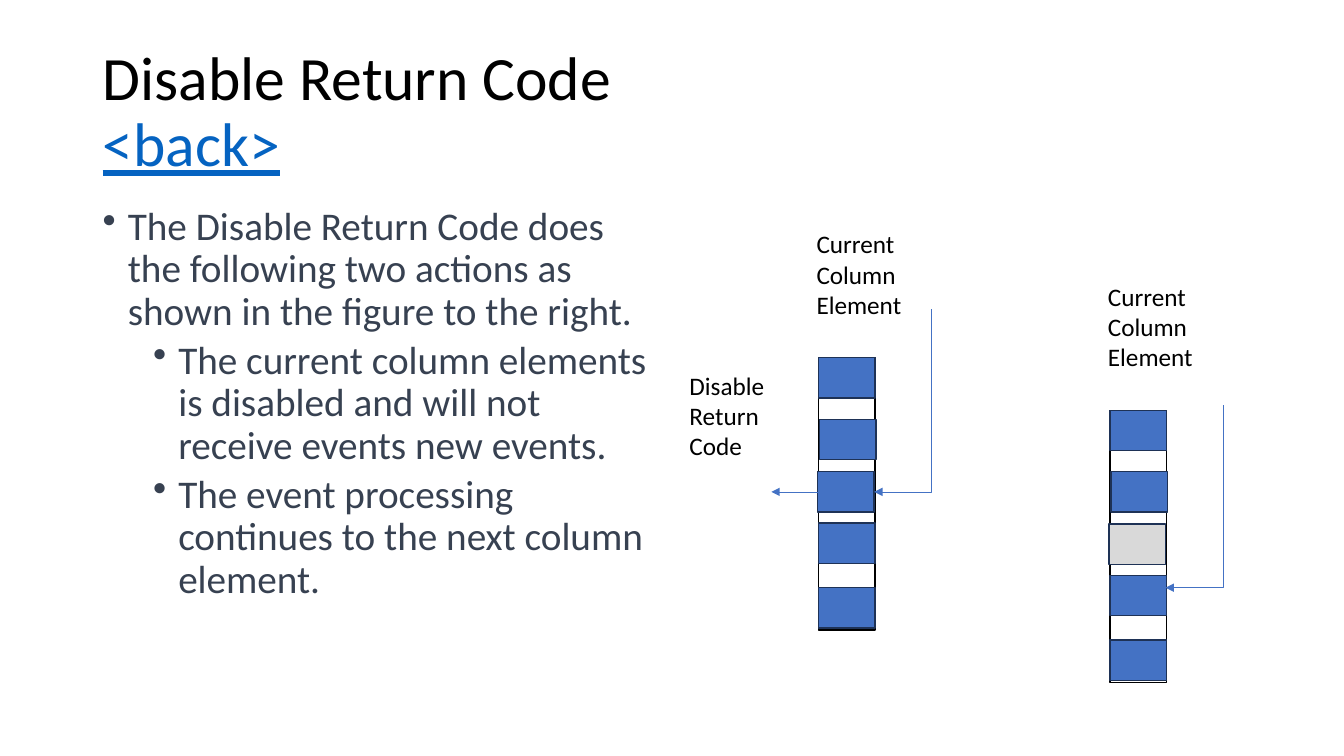
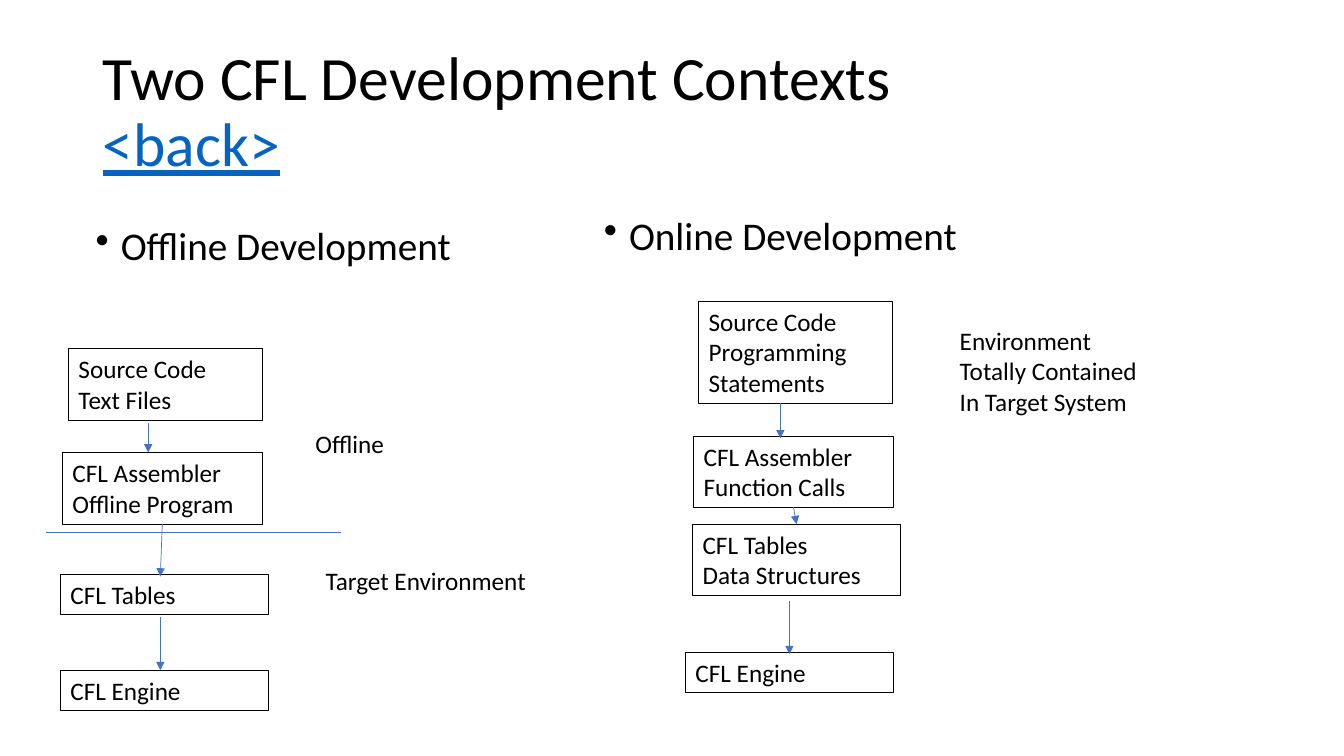
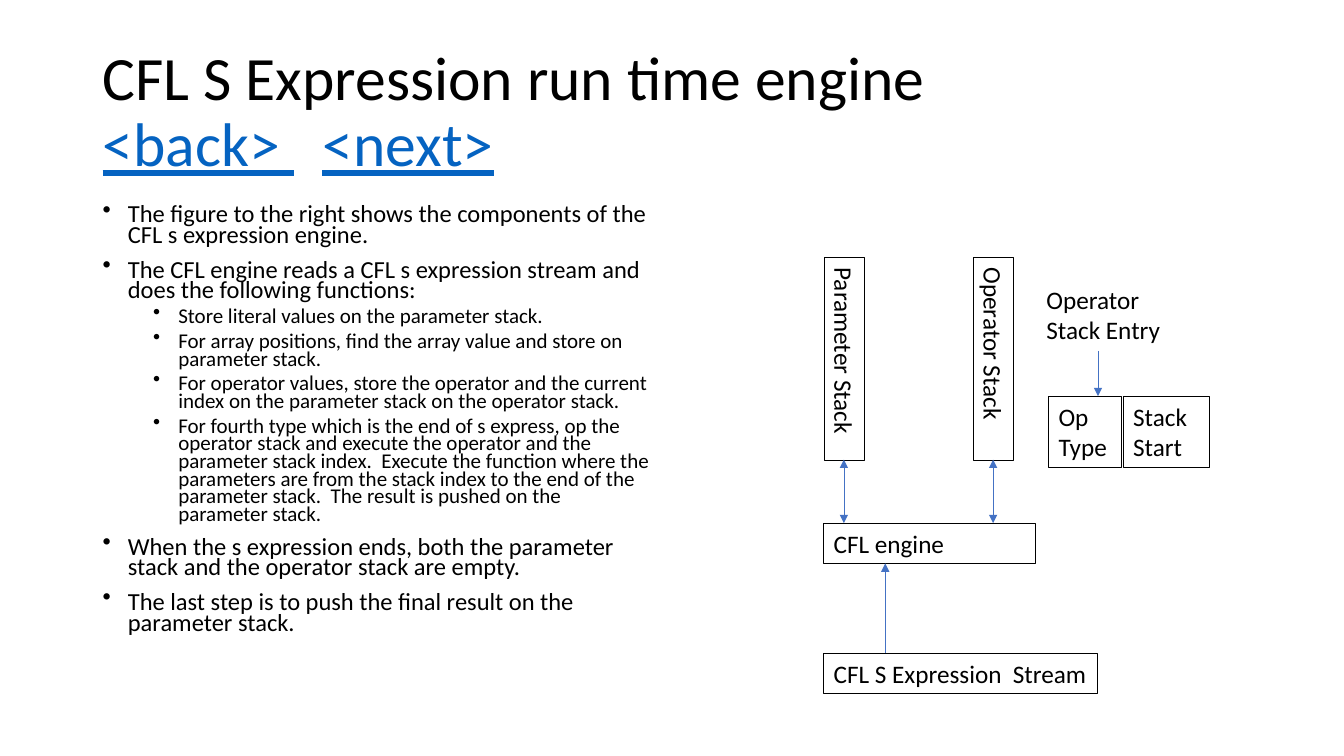
from lxml import etree
from pptx import Presentation
from pptx.dml.color import RGBColor
from pptx.enum.shapes import MSO_CONNECTOR, MSO_SHAPE
from pptx.enum.text import MSO_ANCHOR, PP_ALIGN
from pptx.oxml.ns import qn
from pptx.util import Inches, Pt

RECT = MSO_SHAPE.RECTANGLE
LINE = MSO_CONNECTOR.STRAIGHT
BENT = MSO_CONNECTOR.ELBOW
TOP, MID = MSO_ANCHOR.TOP, MSO_ANCHOR.MIDDLE
LEFT = PP_ALIGN.LEFT

FONT = "Calibri"
BLACK, WHITE, SLATE = "000000", "FFFFFF", "374151"
BLUE, NAVY, GREY, LINK = "4472C4", "1E3256", "D9D9D9", "0563C1"
color = RGBColor.from_string


def put(slide, paras, x, y, w, h, size=18, ink=BLACK, sub=None, lead=None,
        box=False, list=False, wrap=True, turn=0, anchor=TOP):
    area = [Inches(v) for v in (x, y, w, h)]
    if box:
        shape = slide.shapes.add_shape(RECT, *area)
        shape.shadow.inherit = False
        shape.fill.background()
        shape.line.color.rgb = color(BLACK)
        shape.line.width = Pt(0.75)
        shape.rotation = turn
    else:
        shape = slide.shapes.add_textbox(*area)
    frame = shape.text_frame
    frame.word_wrap = wrap
    frame.vertical_anchor = anchor
    for i, item in enumerate(paras):
        para = frame.paragraphs[0] if i == 0 else frame.add_paragraph()
        level, text = item if list else (0, item)
        para.alignment = LEFT
        if list:
            para.level = level
            props = para._p.get_or_add_pPr()
            props.set("marL", str(Inches(0.25 + 0.5 * level)))
            props.set("indent", str(Inches(-0.25)))
            etree.SubElement(props, qn("a:buChar")).set("char", "•")
            if i:
                para.space_before = Pt(5 if level else 10)
        if lead:
            para.line_spacing = lead
        run = para.add_run()
        run.text = text
        run.font.name = FONT
        run.font.size = Pt(sub if level and sub else size)
        run.font.color.rgb = color(ink)
    return frame


def link(slide, x1, y1, x2, y2, head=False, tail=True, kind=LINE):
    wire = slide.shapes.add_connector(
        kind, Inches(x1), Inches(y1), Inches(x2), Inches(y2))
    wire.line.color.rgb = color(BLUE)
    wire.line.width = Pt(0.5)
    pen = wire.line._get_or_add_ln()
    for tag, show in (("a:headEnd", head), ("a:tailEnd", tail)):
        if show:
            etree.SubElement(pen, qn(tag)).set("type", "triangle")
    etree.SubElement(wire._element.spPr, qn("a:effectLst"))
    return wire


deck = Presentation()
deck.slide_width, deck.slide_height = Inches(13.33), Inches(7.5)

pages = []
for title, marks in (
    ("Disable Return Code", ["<back>"]),
    ("Two CFL Development Contexts", ["<back>"]),
    ("CFL S Expression run time engine", ["<back> ", "<next>"]),
):
    slide = deck.slides.add_slide(deck.slide_layouts[6])
    frame = put(slide, [title], 0.92, 0.4, 11.5, 1.45, size=44, lead=0.9,
                anchor=MID)
    para = frame.paragraphs[0]
    if len(marks) > 1:
        tabs = etree.SubElement(para._p.get_or_add_pPr(), qn("a:tabLst"))
        stop = etree.SubElement(tabs, qn("a:tab"))
        stop.set("pos", str(Inches(2.18)))
        stop.set("algn", "l")
    para.add_line_break()
    for i, mark in enumerate(marks):
        if i:
            gap = para.add_run()
            gap.text = "\t"
            gap.font.size = Pt(44)
        run = para.add_run()
        run.text = mark
        run.font.name = FONT
        run.font.size = Pt(44)
        run.font.underline = True
        run.font.color.rgb = color(LINK)
    pages.append(slide)
code, dev, engine = pages

put(code, [
    (0, "The Disable Return Code does the following two actions as shown in "
        "the figure to the right."),
    (1, "The current column elements is disabled and will not receive events "
        "new events."),
    (1, "The event processing continues to the next column element."),
], 0.92, 2, 5.67, 4.76, size=28, ink=SLATE, lead=0.9, list=True)

for x, y, bend, mute in ((8.12, 3.55, 3.69, None), (11.01, 4.07, 4.64, 2)):
    cells = [(0, 0, 2.7, WHITE, BLACK)]
    for i, (dx, dy) in enumerate(
            ((0, 0), (0.01, 0.61), (-0.01, 1.13), (0, 1.64), (0, 2.28))):
        cells.append((dx, dy, 0.4, GREY if i == mute else BLUE, NAVY))
    for dx, dy, h, fill, edge in cells:
        cell = code.shapes.add_shape(
            RECT, Inches(x + dx), Inches(y + dy), Inches(0.56), Inches(h))
        cell.shadow.inherit = False
        cell.fill.solid()
        cell.fill.fore_color.rgb = color(fill)
        cell.line.color.rgb = color(edge)
        cell.line.width = Pt(1)
    wire = link(code, x - 0.07, bend, x + 1.74, bend + 0.57, kind=BENT)
    form = wire._element.spPr
    form.find(qn("a:xfrm")).set("rot", "5400000")
    form.find(qn("a:prstGeom")).set("prst", "bentConnector2")
    put(code, ["Current", "Column", "Element"], x - 0.12, y - 1.33, 1.19, 1.01)
put(code, ["Disable", "Return", "Code"], 6.74, 3.62, 1.17, 1.01)
link(code, 8.11, 4.88, 7.65, 4.88)

for text, x, y, w in (("Offline Development", 0.85, 2.2, 4.56),
                      ("Online Development", 5.89, 2.1, 3.92)):
    put(dev, [(0, text)], x, y, w, 0.72, size=28, lead=0.9, list=True)

for paras, x, y, w, h in (
    (["Source Code", "Text Files"], 0.68, 3.46, 1.92, 0.71),
    (["CFL Assembler", "Offline Program"], 0.62, 4.49, 1.98, 0.71),
    (["CFL Tables"], 0.6, 5.7, 2.06, 0.4),
    (["CFL Engine"], 0.6, 6.65, 2.06, 0.4),
    (["Source Code", "Programming Statements"], 6.93, 2.99, 1.92, 1.01),
    (["CFL Assembler", "Function Calls"], 6.88, 4.33, 1.98, 0.71),
    (["CFL Tables", "Data Structures"], 6.87, 5.2, 2.06, 0.71),
    (["CFL Engine"], 6.8, 6.47, 2.06, 0.4),
):
    put(dev, paras, x, y, w, h, box=True)

for paras, x, y, w, h in (
    (["Offline"], 3.03, 4.2, 0.9, 0.4),
    (["Target Environment"], 3.13, 5.56, 2.21, 0.4),
    (["Environment", "Totally Contained", "In Target System"],
     9.42, 3.18, 1.98, 1.01),
):
    put(dev, paras, x, y, w, h, wrap=False)

link(dev, 0.46, 5.28, 3.38, 5.28, tail=False)
for ends in (
    (1.47, 4.2, 1.47, 4.49),
    (1.61, 5.2, 1.59, 5.72),
    (1.59, 6.12, 1.59, 6.65),
    (7.74, 4, 7.74, 4.35),
    (7.87, 5.03, 7.9, 5.2),
    (7.83, 5.96, 7.83, 6.49),
):
    link(dev, *ends)

put(engine, [
    (0, "The figure to the right shows the components of the CFL s expression "
        "engine."),
    (0, "The CFL engine reads a CFL s expression stream and does the "
        "following functions:"),
    (1, "Store literal values on the parameter stack."),
    (1, "For array positions, find the array value and store on parameter "
        "stack."),
    (1, "For operator values, store the operator and the current index on the "
        "parameter stack on the operator stack."),
    (1, "For fourth type which is the end of s express, op the operator stack "
        "and execute the operator and the parameter stack index.  Execute the "
        "function where the parameters are from the stack index to the end of "
        "the parameter stack.  The result is pushed on the parameter stack."),
    (0, "When the s expression ends, both the parameter stack and the "
        "operator stack are empty."),
    (0, "The last step is to push the final result on the parameter stack."),
], 0.92, 2, 5.67, 4.76, size=17.5, sub=15, lead=0.7, list=True)

for text, x, mid in (("Parameter Stack", 7.37, 8.37),
                     ("Operator Stack", 8.85, 9.85)):
    put(engine, [text], x, 3.36, 2.01, 0.4, box=True, turn=90)
    link(engine, mid, 4.56, mid, 5.19, head=True)

for paras, x, y, w, h in (
    (["CFL engine"], 8.17, 5.19, 2.1, 0.4),
    (["CFL S Expression  Stream"], 8.17, 6.48, 2.72, 0.4),
    (["Stack", "Start"], 11.14, 3.93, 0.86, 0.71),
    (["Op", "Type"], 10.4, 3.93, 0.72, 0.71),
):
    put(engine, paras, x, y, w, h, box=True)
put(engine, ["Operator Stack Entry"], 10.28, 2.77, 1.69, 0.71)
link(engine, 8.78, 6.48, 8.78, 5.59)
link(engine, 10.89, 3.48, 10.89, 3.93)

deck.save("out.pptx")
